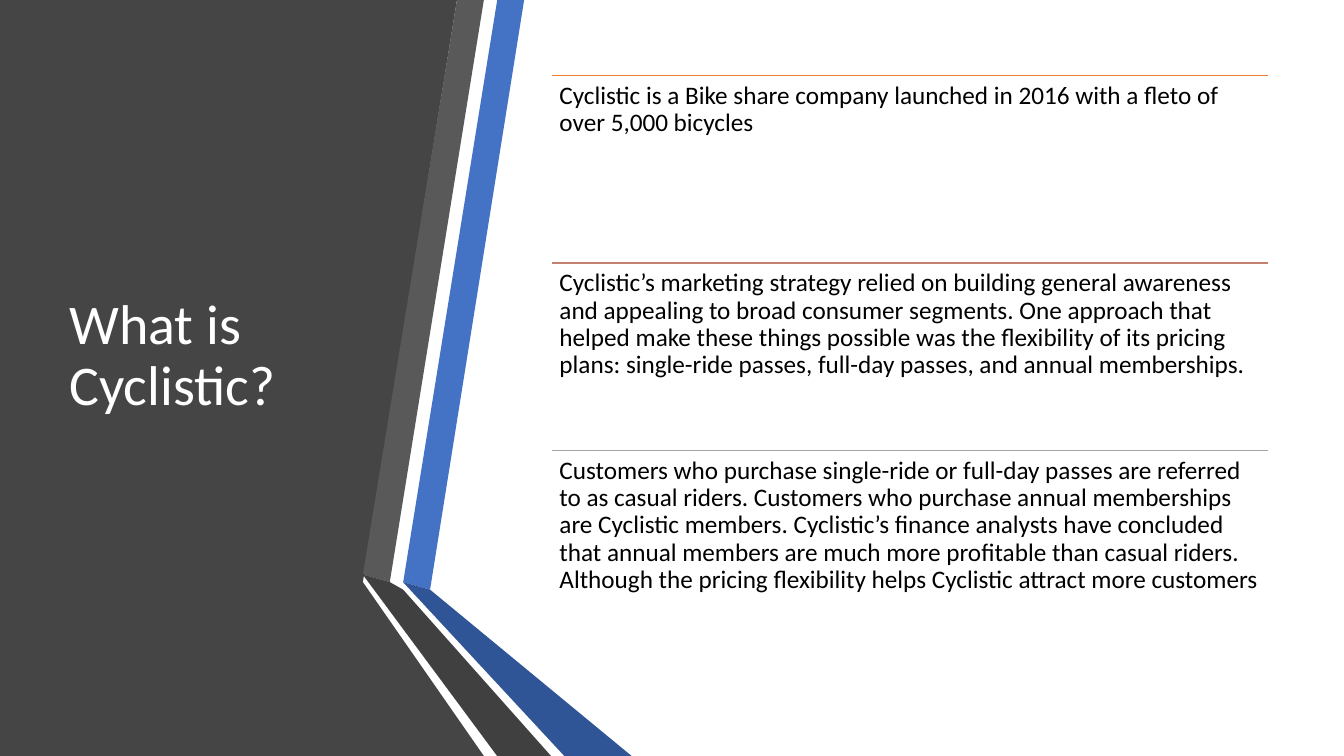
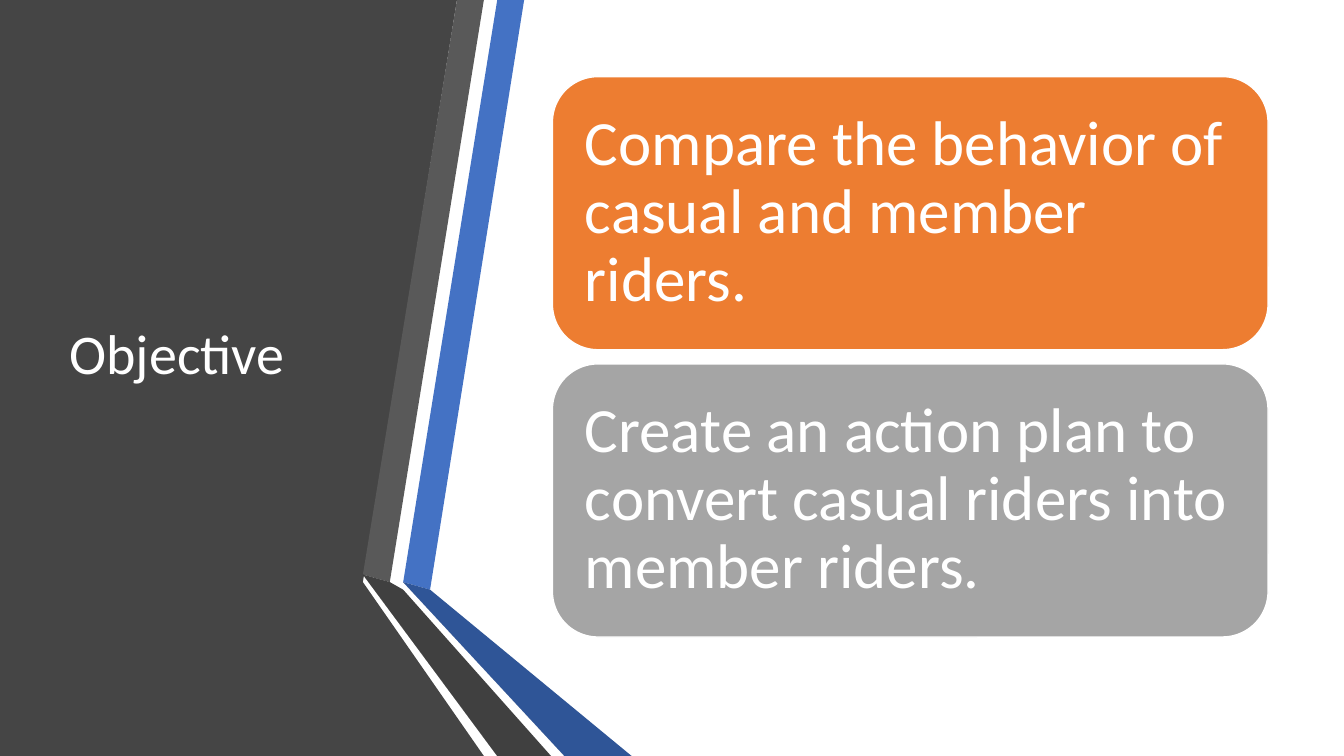
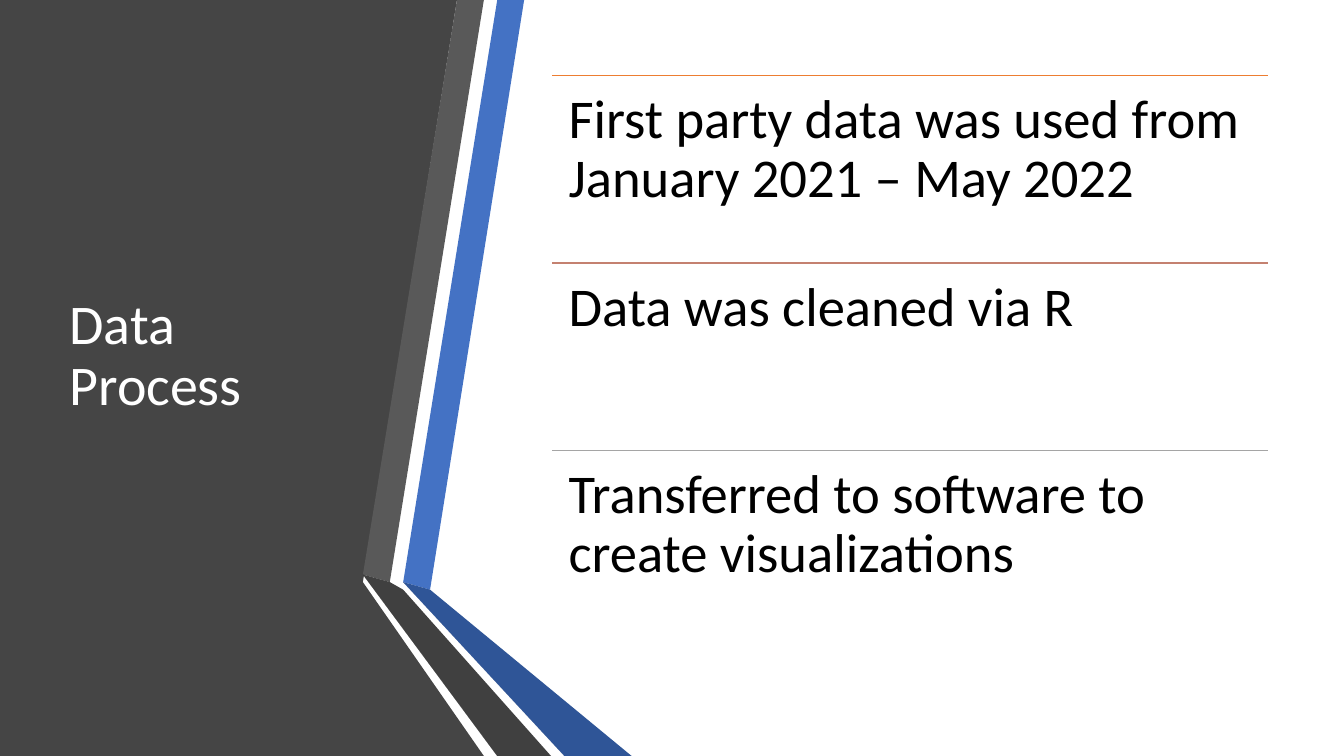
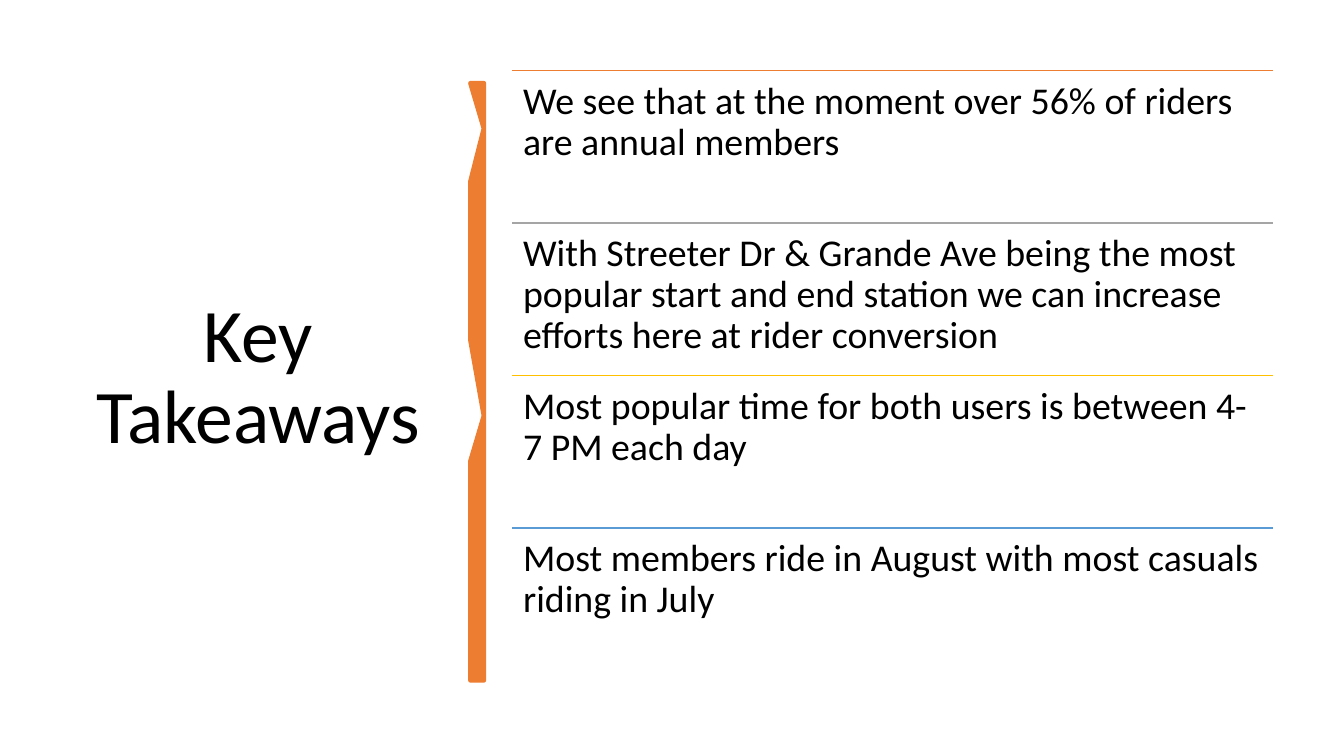
from collections import namedtuple
from pptx import Presentation
from pptx.dml.color import RGBColor
from pptx.enum.shapes import MSO_CONNECTOR, MSO_SHAPE
from pptx.enum.text import MSO_ANCHOR, MSO_AUTO_SIZE, PP_ALIGN
from pptx.oxml.ns import qn
from pptx.util import Inches, Pt
from lxml.etree import SubElement

# Theme: font, colours and type sizes
Theme = namedtuple("Theme", "font white black orange rose grey gold sky "
                            "panel blue steel coal navy deep soot head big")
T = Theme(font="Calibri", white="FFFFFF", black="000000", orange="ED7D31",
          rose="C48170", grey="A5A5A5", gold="FFC000", sky="5B9BD5",
          panel="454545", blue="4472C4", steel="595959", coal="262626",
          navy="203864", deep="2F5597", soot="404040", head=40, big=54)

# Grid: 100 columns by 100 rows on each slide
deck = Presentation()
deck.slide_width, deck.slide_height = Inches(13.33), Inches(7.5)
COL, ROW = deck.slide_width / 100, deck.slide_height / 100

# Side band: colour and corners of each part, as (column, row)
BAND = [
    (T.panel, [(0, 0), (33.68, 0), (26.7, 76.7), (36.15, 100), (0, 100)]),
    (T.blue, [(29.7, 77.07), (31.73, 77.73), (38.93, 0), (36.83, 0)]),
    (T.steel, [(36.38, 0), (34.28, 0), (27.23, 76.4), (29.25, 76.93)]),
    (T.coal, [(27.23, 76.4), (36.83, 100), (37.28, 100)]),
    (T.navy, [(29.7, 77.2), (41.55, 100), (42, 100)]),
    (T.deep, [(29.7, 77.2), (42, 100), (47.18, 100), (31.73, 77.73),
              (29.7, 77.07)]),
    (T.soot, [(41.1, 100), (29.63, 77.73), (29.18, 77.07), (29.25, 76.93),
              (27.23, 76.4), (37.28, 100)]),
]

# Wavy upright bar beside the takeaways
BAR = [(35.6, 11.2), (35.73, 15.5), (35.58, 24), (35.63, 30), (35.6, 39),
       (35.7, 47), (35.62, 55), (35.55, 62), (35.62, 67), (35.75, 71),
       (35.65, 78), (35.63, 90.1), (35.48, 90.1), (35.42, 84), (35.48, 76),
       (35.45, 64), (35.4, 61), (35.5, 55), (35.42, 45), (35.48, 33),
       (35.35, 24), (35.5, 17), (35.42, 11.2)]

# Slides: title, kind, text size, inset in inches, then (colour, text) items
Page = namedtuple("Page", "title kind size inset items")
PAGES = [
    Page("What is Cyclistic?", "rules", 18, 0.07, [
        (T.orange, "Cyclistic is a Bike share company launched in 2016 with "
                   "a fleto of over 5,000 bicycles"),
        (T.rose, "Cyclistic’s marketing strategy relied on building general "
                 "awareness and appealing to broad consumer segments. One "
                 "approach that helped make these things possible was the "
                 "flexibility of its pricing plans: single-ride passes, "
                 "full-day passes, and annual memberships."),
        (T.grey, "Customers who purchase single-ride or full-day passes are "
                 "referred to as casual riders. Customers who purchase annual "
                 "memberships are Cyclistic members. Cyclistic’s finance "
                 "analysts have concluded that annual members are much more "
                 "profitable than casual riders. Although the pricing "
                 "flexibility helps Cyclistic attract more customers")]),
    Page("Objective", "cards", 45, 0.19, [
        (T.orange, "Compare the behavior of casual and member riders."),
        (T.grey, "Create an action plan to convert casual riders into "
                 "member riders.")]),
    Page("Data Process", "rules", 39, 0.16, [
        (T.orange, "First party data was used from January 2021 – May 2022"),
        (T.rose, "Data was cleaned via R"),
        (T.grey, "Transferred to software to create visualizations")]),
    Page("Key Takeaways", "close", 27, 0.11, [
        (T.orange, "We see that at the moment over 56% of riders are annual "
                   "members"),
        (T.grey, "With Streeter Dr & Grande Ave being the most popular start "
                 "and end station we can increase efforts here at rider "
                 "conversion"),
        (T.gold, "Most popular time for both users is between 4-7 PM each "
                 "day"),
        (T.sky, "Most members ride in August with most casuals riding in "
                "July")]),
]

# Per kind: title box, then left, top, width, height and pitch of the items
SIDE = (4.42, 10, 22.8, 74.4)
PLAN = {
    "rules": (SIDE, (41.1, 10, 53.25, 24.8, 24.8)),
    "cards": (SIDE, (41.1, 10.13, 53.25, 36.13, 38)),
    "close": ((5.18, 9.33, 28.05, 81.47), (38.1, 9.33, 56.63, 20.17, 20.17)),
}


def write(frame, text, size, ink, anchor, align=PP_ALIGN.LEFT, inset=None):
    """Set one paragraph of text in a frame."""
    frame.word_wrap, frame.auto_size = True, MSO_AUTO_SIZE.NONE
    frame.vertical_anchor = anchor
    if inset:
        frame.margin_left = frame.margin_right = Inches(inset)
        frame.margin_top = frame.margin_bottom = Inches(inset)
    para = frame.paragraphs[0]
    para.alignment, para.line_spacing = align, 0.9
    run = para.add_run()
    run.text = text
    run.font.name, run.font.size = T.font, Pt(size)
    run.font.color.rgb = RGBColor.from_string(ink)


def draw(shapes, points, ink, line=None):
    """Add a filled outline through grid points."""
    pen = shapes.build_freeform(*points[0], scale=(COL, ROW))
    pen.add_line_segments(points[1:], close=True)
    form = pen.convert_to_shape()
    form.shadow.inherit = False
    form.fill.solid()
    form.fill.fore_color.rgb = RGBColor.from_string(ink)
    if line:
        form.line.color.rgb = RGBColor.from_string(ink)
        form.line.width = Pt(line)
    else:
        form.line.fill.background()


for page in PAGES:
    slide = deck.slides.add_slide(deck.slide_layouts[5])
    shapes, title = slide.shapes, slide.shapes.title
    close = page.kind == "close"
    head, (left, top, wide, high, pitch) = PLAN[page.kind]

    # Band or bar, with the title above it
    if close:
        draw(shapes, BAR, T.orange, 3.25)
    else:
        for ink, points in BAND:
            draw(shapes, points, ink)
    shapes._spTree.append(title._element)
    title.left, title.width = int(head[0] * COL), int(head[2] * COL)
    title.top, title.height = int(head[1] * ROW), int(head[3] * ROW)
    write(title.text_frame, page.title, T.big if close else T.head,
          T.black if close else T.white, MSO_ANCHOR.MIDDLE,
          PP_ALIGN.CENTER if close else PP_ALIGN.LEFT)

    # Items down the right side
    for i, (ink, text) in enumerate(page.items):
        x, y = int(left * COL), int((top + i * pitch) * ROW)
        w, h = int(wide * COL), int(high * ROW)
        tint = RGBColor.from_string(ink)
        if page.kind == "cards":
            box = shapes.add_shape(MSO_SHAPE.ROUNDED_RECTANGLE, x, y, w, h)
            box.shadow.inherit = False
            box.fill.solid()
            box.fill.fore_color.rgb = tint
            box.line.color.rgb = RGBColor.from_string(T.white)
            box.line.width = Pt(1)
            write(box.text_frame, text, page.size, T.white,
                  MSO_ANCHOR.MIDDLE, inset=page.inset)
        else:
            rule = shapes.add_connector(MSO_CONNECTOR.STRAIGHT, x, y, x + w, y)
            rule.line.color.rgb = tint
            rule.line.width = Pt(1)
            SubElement(rule._element.spPr, qn("a:effectLst"))
            box = shapes.add_textbox(x, y, w, h)
            write(box.text_frame, text, page.size, T.black,
                  MSO_ANCHOR.TOP, inset=page.inset)

deck.save("out.pptx")
